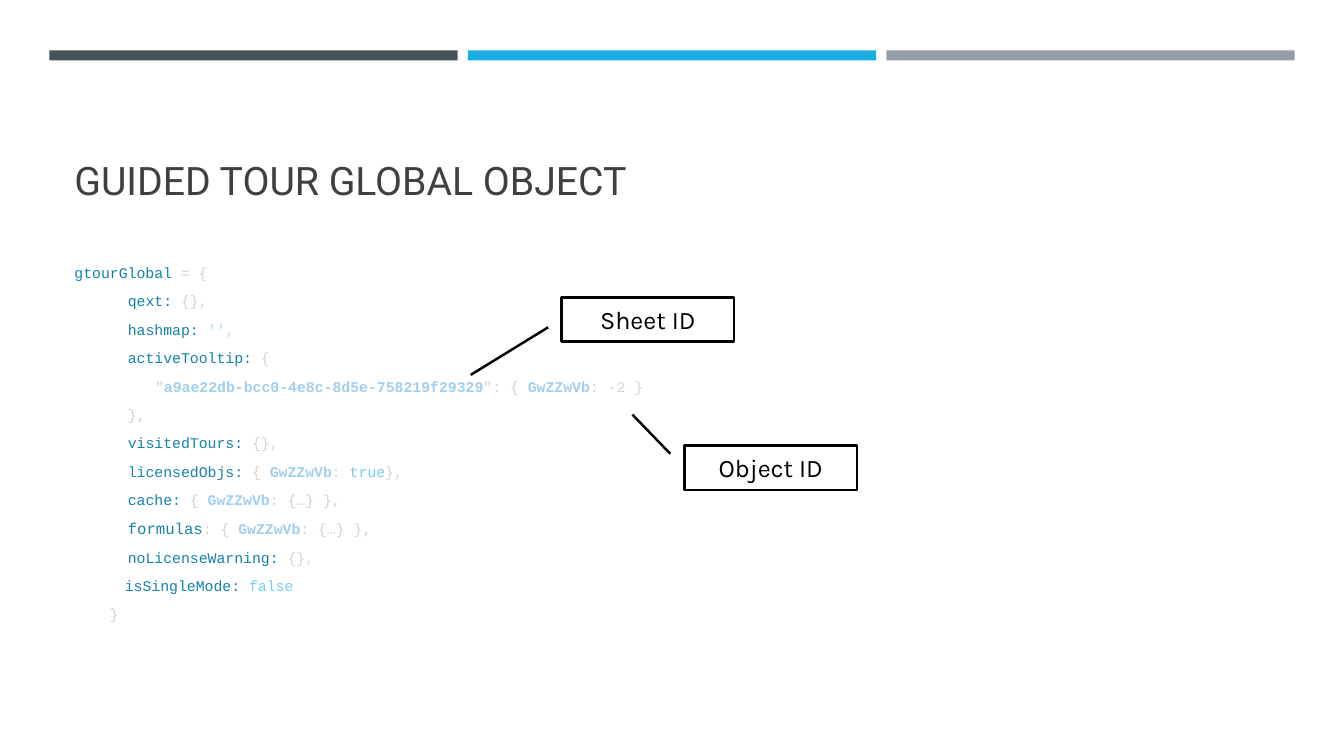
from dataclasses import dataclass
from typing import NamedTuple

from pptx import Presentation
from pptx.dml.color import RGBColor
from pptx.enum.shapes import MSO_SHAPE as Preset
from pptx.enum.text import MSO_ANCHOR as Anchor, PP_ALIGN as Align
from pptx.util import Inches, Pt


@dataclass(frozen=True)
class Theme:
    ink: str = "000000"
    paper: str = "FFFFFF"
    heading: str = "404040"
    key: str = "1482AC"
    plain: str = "D4D4D4"
    quote: str = "9CDCFE"
    ident: str = "A3CEED"
    literal: str = "77CEEF"
    bars: tuple[str, ...] = ("465359", "1CADE4", "969FA7")
    title_font: str = "Roboto"
    code_font: str = "Courier New"
    label_font: str = "Karla"
    title_size: float = 28
    code_size: float = 10.6
    large_code_size: float = 11.2
    label_size: float = 18
    border: float = 1.75


THEME = Theme()


class Box(NamedTuple):
    left: float
    top: float
    width: float
    height: float

    def lengths(self) -> list[int]:
        return [Inches(value) for value in self]


class Token(NamedTuple):
    text: str
    color: str = THEME.plain
    bold: bool = False
    font: str = THEME.code_font
    size: float = THEME.code_size


class CodeLine(NamedTuple):
    indent: float
    tokens: list[Token]


class Callout(NamedTuple):
    label: str
    box: Box
    pointer: tuple[float, ...]


def key(text: str, size: float = THEME.code_size) -> Token:
    return Token(text, THEME.key, size=size)


def literal(text: str) -> Token:
    return Token(text, THEME.literal)


def ident(text: str) -> Token:
    return Token(text, THEME.ident, bold=True)


MEMBER, ENTRY, LAST_MEMBER, CLOSING = 0.53, 0.8, 0.5, 0.35
OBJECT_ID = ident("GwZZwVb")
CODE = [
    CodeLine(0, [key("gtourGlobal"), Token(" = {")]),
    CodeLine(MEMBER, [key("qext: "), Token("{},")]),
    CodeLine(MEMBER, [key("hashmap: "), Token("''", THEME.quote), Token(",")]),
    CodeLine(MEMBER, [key("activeTooltip: "), Token("{")]),
    CodeLine(ENTRY, [Token('"'), ident("a9ae22db-bcc0-4e8c-8d5e-758219f29329"),
                     Token('": { '), OBJECT_ID, Token(": -2 }")]),
    CodeLine(MEMBER, [Token("},")]),
    CodeLine(MEMBER, [key("visitedTours: "), Token("{},")]),
    CodeLine(MEMBER, [key("licensedObjs: "), Token("{ "), OBJECT_ID, Token(": "),
                      literal("true"), Token("},")]),
    CodeLine(MEMBER, [key("cache: "), Token("{ "), OBJECT_ID, Token(": {…} },")]),
    CodeLine(MEMBER, [key("formulas", THEME.large_code_size), Token(": { "),
                      OBJECT_ID, Token(": {…} },")]),
    CodeLine(MEMBER, [key("noLicenseWarning: "), Token("{},")]),
    CodeLine(LAST_MEMBER, [key("isSingleMode: "), literal("false")]),
    CodeLine(CLOSING, [Token("}")]),
]
CALLOUTS = [
    Callout("Sheet ID", Box(5.57, 2.95, 1.71, 0.44), (0.676, -0.078, 1.747, -0.527)),
    Callout("Object ID", Box(6.79, 4.42, 1.71, 0.44), (0.188, -0.083, -0.697, -0.303)),
]
CODE_SPACING = {"line_spacing": 0.9, "space_before": Pt(2.8), "space_after": Pt(6)}


def apply_format(target, values: dict) -> None:
    for attribute, value in values.items():
        setattr(target, attribute, value)


def add_token(paragraph, token: Token) -> None:
    run = paragraph.add_run()
    run.text = token.text
    apply_format(run.font, {"name": token.font, "size": Pt(token.size), "bold": token.bold})
    run.font.color.rgb = RGBColor.from_string(token.color)


def add_rectangle(slide, preset: Preset, box: Box, fill: str):
    shape = slide.shapes.add_shape(preset, *box.lengths())
    shape.shadow.inherit = False
    shape.fill.solid()
    shape.fill.fore_color.rgb = RGBColor.from_string(fill)
    shape.line.fill.background()
    return shape


def add_text_frame(slide, box: Box, anchor: Anchor):
    frame = slide.shapes.add_textbox(*box.lengths()).text_frame
    apply_format(frame, {"word_wrap": True, "vertical_anchor": anchor})
    return frame


def add_bars(slide) -> None:
    left, width, gap = 0.49, 4.05, 0.1
    for column, color in enumerate(THEME.bars):
        bar = Box(left + column * (width + gap), 0.5, width, 0.1)
        add_rectangle(slide, Preset.RECTANGLE, bar, color)


def add_title(slide, title: str) -> None:
    frame = add_text_frame(slide, Box(0.64, 0.77, 12.06, 1.3), Anchor.BOTTOM)
    add_token(frame.paragraphs[0],
              Token(title, THEME.heading, font=THEME.title_font, size=THEME.title_size))


def add_code(slide, lines: list[CodeLine]) -> None:
    frame = add_text_frame(slide, Box(0.64, 2.56, 12.06, 3.7), Anchor.MIDDLE)
    for number, line in enumerate(lines):
        paragraph = frame.add_paragraph() if number else frame.paragraphs[0]
        apply_format(paragraph, CODE_SPACING)
        paragraph._p.get_or_add_pPr().set("marL", str(Inches(line.indent)))
        for token in line.tokens:
            add_token(paragraph, token)


def add_callout(slide, callout: Callout) -> None:
    shape = add_rectangle(slide, Preset.LINE_CALLOUT_1, callout.box, THEME.paper)
    for index, value in enumerate(callout.pointer):
        shape.adjustments[index] = value
    shape.line.color.rgb = RGBColor.from_string(THEME.ink)
    shape.line.width = Pt(THEME.border)
    apply_format(shape.text_frame, {"word_wrap": True, "vertical_anchor": Anchor.MIDDLE})
    paragraph = shape.text_frame.paragraphs[0]
    paragraph.alignment = Align.CENTER
    add_token(paragraph,
              Token(callout.label, THEME.ink, font=THEME.label_font, size=THEME.label_size))


def main() -> None:
    deck = Presentation()
    apply_format(deck, {"slide_width": Inches(13.33), "slide_height": Inches(7.5)})
    slide = deck.slides.add_slide(deck.slide_layouts[6])
    add_bars(slide)
    add_title(slide, "GUIDED TOUR GLOBAL OBJECT")
    add_code(slide, CODE)
    for callout in CALLOUTS:
        add_callout(slide, callout)
    deck.save("out.pptx")


if __name__ == "__main__":
    main()
